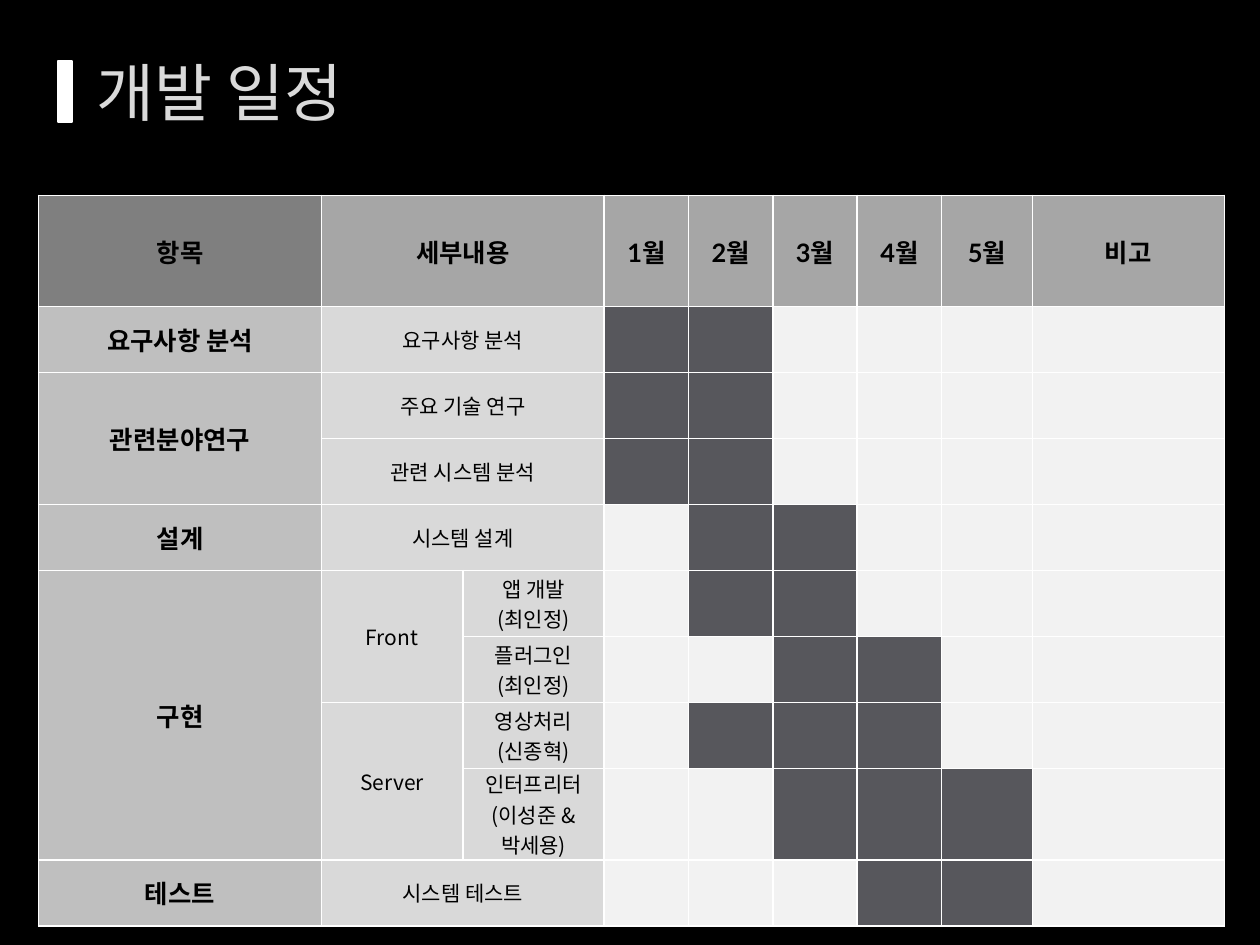
from lxml.etree import SubElement
from pptx import Presentation
from pptx.dml.color import RGBColor
from pptx.enum.shapes import MSO_SHAPE
from pptx.enum.text import MSO_ANCHOR, PP_ALIGN
from pptx.oxml.ns import qn
from pptx.util import Cm, Pt

COLORS = {
    "black": "000000", "white": "FFFFFF", "title": "DADADA",
    "corner": "7F7F7F", "header": "A6A6A6", "item": "BFBFBF",
    "detail": "D9D9D9", "busy": "57575C", "free": "F2F2F2",
}
KOREAN, LATIN = "Noto Sans CJK KR", "Lato"

TITLE = "개발 일정"
HEADERS = ["항목", "세부내용", None, "1월", "2월", "3월", "4월", "5월", "비고"]
# item, detail, sub-detail, first and last busy month; None continues a merged cell
TASKS = [
    ("요구사항 분석", "요구사항 분석", None, 1, 2),
    ("관련분야연구", "주요 기술 연구", None, 1, 2),
    (None, "관련 시스템 분석", None, 1, 2),
    ("설계", "시스템 설계", None, 2, 3),
    ("구현", "Front", "앱 개발\n(최인정)", 2, 3),
    (None, None, "플러그인\n(최인정)", 3, 4),
    (None, "Server", "영상처리\n(신종혁)", 2, 4),
    (None, None, "인터프리터\n(이성준 &박세용)", 3, 5),
    ("테스트", "시스템 테스트", None, 4, 5),
]
COL_WIDTHS = [5.7, 2.85, 2.85, 1.7, 1.7, 1.7, 1.7, 1.83, 3.87]
HEADER_HEIGHT, ROW_HEIGHT = 2.24, 1.33
FIRST_MONTH_COL = 3


def rgb(name):
    return RGBColor.from_string(COLORS[name])


def paint(fill, color):
    fill.solid()
    fill.fore_color.rgb = rgb(color)


def write(tf, text, size, color="black", font=KOREAN, bold=False, align=PP_ALIGN.CENTER):
    for i, line in enumerate(text.split("\n")):
        p = tf.add_paragraph() if i else tf.paragraphs[0]
        p.alignment = align
        r = p.add_run()
        r.text = line
        r.font.size, r.font.bold, r.font.name = Pt(size), bold, font
        r.font.color.rgb = rgb(color)
        SubElement(r.font._element, qn("a:ea"), typeface=KOREAN)


def style_cell(cell, color):
    """Set fill, margins and white borders; borders precede the fill in the XML."""
    cell.vertical_anchor = MSO_ANCHOR.MIDDLE
    cell.margin_left = cell.margin_right = Cm(0.18)
    cell.margin_top = cell.margin_bottom = 0
    tcPr = cell._tc.get_or_add_tcPr()
    for side in ("lnL", "lnR", "lnT", "lnB"):
        ln = SubElement(tcPr, qn(f"a:{side}"), w=str(Pt(1)))
        SubElement(SubElement(ln, qn("a:solidFill")), qn("a:srgbClr"), val=COLORS["white"])
    paint(cell.fill, color)


def add_schedule(slide):
    n_rows, n_cols = len(TASKS) + 1, len(COL_WIDTHS)
    table = slide.shapes.add_table(
        n_rows, n_cols, Cm(0.78), Cm(3.94), Cm(sum(COL_WIDTHS)),
        Cm(HEADER_HEIGHT + ROW_HEIGHT * len(TASKS))).table
    table.first_row = table.horz_banding = False
    for col, width in zip(table.columns, COL_WIDTHS):
        col.width = Cm(width)
    for i, row in enumerate(table.rows):
        row.height = Cm(ROW_HEIGHT if i else HEADER_HEIGHT)

    for c, text in enumerate(HEADERS):
        cell = table.cell(0, c)
        style_cell(cell, "header" if c else "corner")
        if text:
            write(cell.text_frame, text, 14.5, font=LATIN, bold=True)

    for i, (*labels, start, end) in enumerate(TASKS, 1):
        for c, text in enumerate(labels):
            cell = table.cell(i, c)
            style_cell(cell, "detail" if c else "item")
            if text and c == 0:
                write(cell.text_frame, text, 14.5, font=LATIN, bold=True)
            elif text:
                write(cell.text_frame, text, 12)
        for c in range(FIRST_MONTH_COL, n_cols):
            month = c - FIRST_MONTH_COL + 1
            style_cell(table.cell(i, c), "busy" if start <= month <= end else "free")

    merge_labels(table)


def merge_labels(table):
    """Join details without a sub-detail across, and repeated labels downwards."""
    grid = [HEADERS[:3]] + [task[:3] for task in TASKS]
    for i, (_, detail, sub) in enumerate(grid):
        if detail and not sub:
            table.cell(i, 1).merge(table.cell(i, 2))
    for c in (0, 1):
        starts = [i for i, row in enumerate(grid) if row[c]] + [len(grid)]
        for top, following in zip(starts, starts[1:]):
            if following - top > 1:
                table.cell(top, c).merge(table.cell(following - 1, c))


def main():
    prs = Presentation()
    prs.slide_width, prs.slide_height = Cm(25.4), Cm(19.05)
    slide = prs.slides.add_slide(prs.slide_layouts[5])
    paint(slide.background.fill, "black")

    title = slide.shapes.title
    title.left, title.top, title.width, title.height = Cm(1.7), 0, Cm(23.7), Cm(3.68)
    title.text_frame.vertical_anchor = MSO_ANCHOR.MIDDLE
    write(title.text_frame, TITLE, 36, color="title", align=PP_ALIGN.LEFT)

    bar = slide.shapes.add_shape(MSO_SHAPE.RECTANGLE, Cm(1.17), Cm(1.23), Cm(0.29), Cm(1.23))
    bar.shadow.inherit = False
    paint(bar.fill, "white")
    bar.line.color.rgb = rgb("white")
    bar.line.width = Pt(1.25)

    add_schedule(slide)
    prs.save("out.pptx")


if __name__ == "__main__":
    main()
